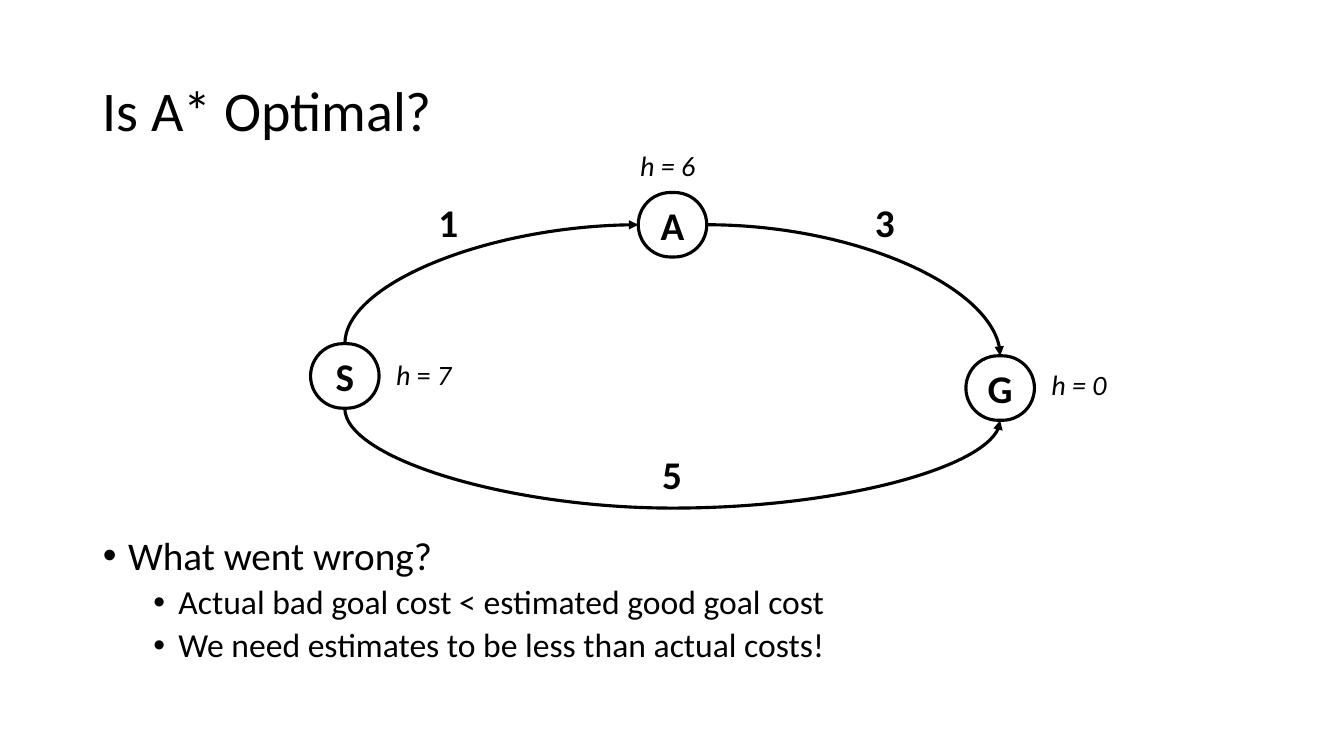
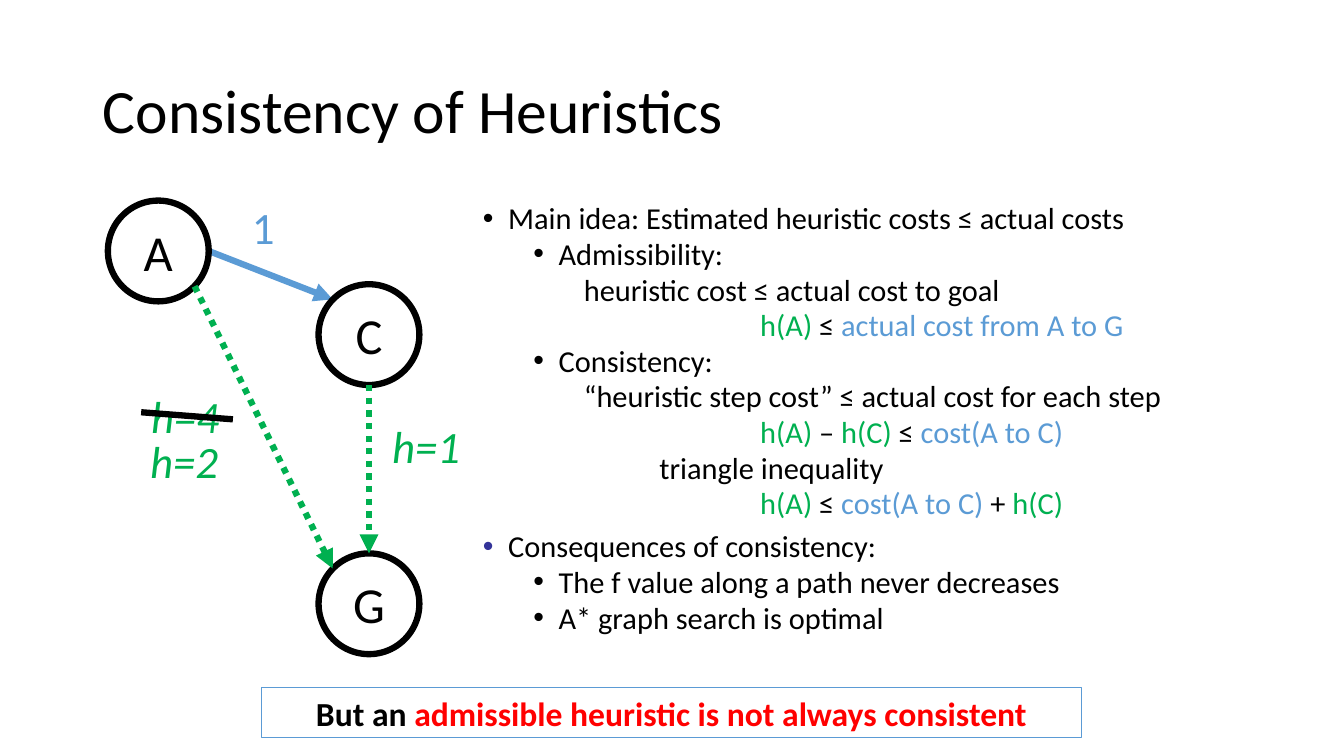
from dataclasses import dataclass
from typing import Any

from lxml import etree
from pptx import Presentation
from pptx import util as u
from pptx.dml.color import RGBColor
from pptx.enum import dml, shapes, text
from pptx.oxml import ns

# Shared look: 100 px to the inch
EMU_PER_PX = 9144
PAGE_WIDTH, PAGE_HEIGHT = 1333, 750
FONT = "Calibri"
BLACK, WHITE, GREEN, BLUE = "000000", "FFFFFF", "00B050", "5B9BD5"
RED, NAVY = "FF0000", "333399"
TITLE_BOX = (92, 40, 1150, 145)
LEFT, CENTER = text.PP_ALIGN.LEFT, text.PP_ALIGN.CENTER
TOP, MIDDLE = text.MSO_ANCHOR.TOP, text.MSO_ANCHOR.MIDDLE


@dataclass(frozen=True)
class Span:
    text: str
    color: str = BLACK
    italic: bool = False


@dataclass(frozen=True)
class Line:
    spans: tuple[Span, ...]
    level: int = 0
    margin: int = 25
    bullet: str | None = BLACK


@dataclass(frozen=True)
class Node:
    name: str
    x: int
    y: int


@dataclass(frozen=True)
class Label:
    content: str | tuple[Span, ...]
    box: tuple[int, int, int, int]
    size: int
    bold: bool = False
    italic: bool = False
    color: str = BLACK
    align: Any = LEFT
    wrap: bool = True


@dataclass(frozen=True)
class Link:
    start: tuple[int, int]
    end: tuple[int, int]
    color: str
    dotted: bool = False
    arrow: bool = True


@dataclass(frozen=True)
class Curve:
    """Connection sites: 0 top, 1 left, 2 bottom, 3 right."""
    start: str
    start_site: int
    end: str
    end_site: int
    preset: str
    rotation: int = 0
    flips: tuple[str, ...] = ()
    bend: int | None = None


def px(length: float) -> u.Emu:
    return u.Emu(round(length * EMU_PER_PX))


def rgb(value: str) -> RGBColor:
    return RGBColor.from_string(value)


def add_tag(parent: Any, tag: str, **attributes: str) -> Any:
    return etree.SubElement(parent, ns.qn(tag), attributes)


# Text
def write(para: Any, content: str | tuple[Span, ...], *, size: float, color: str = BLACK,
          bold: bool = False, italic: bool = False, align: Any = LEFT) -> None:
    para.alignment = align
    spans = (Span(content, color, italic),) if isinstance(content, str) else content
    for part in spans:
        span = para.add_run()
        span.text = part.text
        font = span.font
        font.name, font.size = FONT, u.Pt(size)
        font.bold, font.italic = bold, part.italic
        font.color.rgb = rgb(part.color)


def set_frame(shape: Any, *, anchor: Any, wrap: bool = True) -> Any:
    frame = shape.text_frame
    frame.auto_size = text.MSO_AUTO_SIZE.NONE
    frame.word_wrap, frame.vertical_anchor = wrap, anchor
    return frame


def place(shape: Any, box: tuple[int, int, int, int]) -> None:
    shape.left, shape.top, shape.width, shape.height = map(px, box)


def add_title(page: Any, title: str, size: int) -> None:
    shape = page.shapes.title
    place(shape, TITLE_BOX)
    para = set_frame(shape, anchor=MIDDLE).paragraphs[0]
    para.line_spacing = 0.9
    write(para, title, size=size)


def add_list(page: Any, box: tuple[int, int, int, int], lines: list[Line], *,
             sizes: tuple[float, float], spacing: float, gaps: tuple[float, float]) -> None:
    shape = page.placeholders[1]
    place(shape, box)
    frame = set_frame(shape, anchor=TOP)
    for index, line in enumerate(lines):
        para = frame.add_paragraph() if index else frame.paragraphs[0]
        para.level, para.line_spacing = line.level, spacing
        para.space_before = u.Pt(gaps[line.level])
        write(para, line.spans, size=sizes[line.level])
        props = para._p.get_or_add_pPr()
        props.set("marL", str(px(line.margin)))
        props.set("indent", str(px(-25 if line.bullet else 0)))
        if line.bullet:
            add_tag(add_tag(props, "a:buClr"), "a:srgbClr", val=line.bullet)
            add_tag(props, "a:buFont", typeface="Arial")
            add_tag(props, "a:buChar", char="•")
        else:
            add_tag(props, "a:buNone")


def add_label(page: Any, label: Label) -> None:
    shape = page.shapes.add_textbox(*map(px, label.box))
    frame = set_frame(shape, anchor=TOP, wrap=label.wrap)
    write(frame.paragraphs[0], label.content, size=label.size, color=label.color,
          bold=label.bold, italic=label.italic, align=label.align)


# Shapes and lines
def add_box(page: Any, kind: Any, box: tuple[int, int, int, int],
            content: str | tuple[Span, ...], *, size: int, line_color: str = BLACK,
            line_width: float, fill: str | None = None, bold: bool = False,
            wrap: bool = True) -> Any:
    shape = page.shapes.add_shape(kind, *map(px, box))
    shape.shadow.inherit = False
    if fill:
        shape.fill.solid()
        shape.fill.fore_color.rgb = rgb(fill)
    else:
        shape.fill.background()
    shape.line.color.rgb = rgb(line_color)
    shape.line.width = u.Pt(line_width)
    frame = set_frame(shape, anchor=MIDDLE, wrap=wrap)
    write(frame.paragraphs[0], content, size=size, bold=bold, align=CENTER)
    return shape


def style_line(connector: Any, *, color: str, width: float, dotted: bool = False,
               arrow: bool = True) -> None:
    line = connector.line
    line.color.rgb, line.width = rgb(color), u.Pt(width)
    if dotted:
        line.dash_style = dml.MSO_LINE.ROUND_DOT
    properties = connector._element.spPr
    if arrow:
        add_tag(properties.find(ns.qn("a:ln")), "a:tailEnd", type="triangle")
    add_tag(properties, "a:effectLst")


def add_link(page: Any, link: Link) -> None:
    connector = page.shapes.add_connector(
        shapes.MSO_CONNECTOR.STRAIGHT, *map(px, link.start + link.end))
    style_line(connector, color=link.color, width=4.5, dotted=link.dotted, arrow=link.arrow)


def add_curve(page: Any, curve: Curve, nodes: dict[str, Any]) -> None:
    connector = page.shapes.add_connector(shapes.MSO_CONNECTOR.CURVE, 0, 0, 0, 0)
    connector.begin_connect(nodes[curve.start], curve.start_site)
    connector.end_connect(nodes[curve.end], curve.end_site)
    left, top, width, height = (connector.left, connector.top,
                                connector.width, connector.height)
    properties = connector._element.spPr
    frame = properties.find(ns.qn("a:xfrm"))
    for flip in ("flipH", "flipV"):
        frame.attrib.pop(flip, None)
        if flip in curve.flips:
            frame.set(flip, "1")
    if curve.rotation:  # a quarter turn swaps the sides about the same centre
        connector.left = u.Emu(left + (width - height) // 2)
        connector.top = u.Emu(top + (height - width) // 2)
        connector.width, connector.height = height, width
        frame.set("rot", str(curve.rotation * 60000))
    geometry = properties.find(ns.qn("a:prstGeom"))
    geometry.set("prst", curve.preset)
    if curve.bend:
        add_tag(geometry.find(ns.qn("a:avLst")), "a:gd", name="adj1", fmla=f"val {curve.bend}")
    style_line(connector, color=BLACK, width=2.25)


def plain(content: str, level: int = 0, margin: int = 25, bullet: str | None = BLACK) -> Line:
    return Line((Span(content),), level, margin, bullet)


def sub(content: str) -> Line:
    return plain(content, 1, 75)


def formula(*spans: Span) -> Line:
    return Line(spans, 1, 275, None)


# Slide 1
def build_optimality(page: Any) -> None:
    add_title(page, "Is A* Optimal?", 40)
    add_list(page, (92, 527, 1150, 159), [
        plain("What went wrong?"),
        sub("Actual bad goal cost < estimated good goal cost"),
        sub("We need estimates to be less than actual costs!"),
    ], sizes=(28, 24), spacing=0.9, gaps=(10, 5))

    nodes = {}
    for node in (Node("A", 633, 191), Node("G", 958, 353), Node("S", 308, 341)):
        shape = add_box(page, shapes.MSO_SHAPE.ROUNDED_RECTANGLE, (node.x, node.y, 68, 64),
                        node.name, size=28, line_width=2.25, bold=True, wrap=False)
        shape.adjustments[0] = 0.5
        nodes[node.name] = shape

    start_estimate = (Span("h", italic=True), Span(" = "), Span("7", italic=True))
    for label in (
        Label("1", (425, 192, 50, 57), 28, bold=True),
        Label("3", (858, 192, 50, 57), 28, bold=True),
        Label("5", (0, 442, PAGE_WIDTH, 57), 28, bold=True, align=CENTER),
        Label("h = 6", (625, 142, 100, 44), 20, italic=True),
        Label("h = 0", (1033, 360, 100, 44), 20, italic=True),
        Label(start_estimate, (383, 350, 83, 44), 20),
    ):
        add_label(page, label)

    for curve in (
        Curve("S", 2, "G", 2, "curvedConnector3", 270, ("flipH",), 825000),
        Curve("S", 0, "A", 1, "curvedConnector2", 90, ("flipH", "flipV")),
        Curve("A", 3, "G", 0, "curvedConnector2"),
    ):
        add_curve(page, curve, nodes)


# Slide 2
def build_consistency(page: Any) -> None:
    add_title(page, "Consistency of Heuristics", 44)
    at_most = Span("≤ ")
    add_list(page, (469, 200, 773, 476), [
        plain("Main idea: Estimated heuristic costs ≤ actual costs"),
        sub("Admissibility:"),
        plain("heuristic cost ≤ actual cost to goal", 1, 100, None),
        formula(Span("h(A) ", GREEN), at_most, Span("actual cost from A to G", BLUE)),
        sub("Consistency:"),
        plain("“heuristic step cost” ≤ actual cost for each step", 1, 100, None),
        formula(Span("h(A) ", GREEN), Span("–"), Span(" h(C) ", GREEN), at_most,
                Span("cost(A to C)", BLUE)),
        plain("triangle inequality", 1, 175, None),
        formula(Span("h(A) ", GREEN), at_most, Span("cost(A to C) ", BLUE),
                Span("+ "), Span("h(C)", GREEN)),
        plain("Consequences of consistency:", bullet=NAVY),
        sub("The f value along a path never decreases"),
        sub("A* graph search is optimal"),
    ], sizes=(21.7, 21.7), spacing=0.8, gaps=(10, 4.6))

    add_link(page, Link((207, 249), (330, 297), BLUE))
    for node in (Node("A", 107, 199), Node("C", 316, 282), Node("G", 316, 549)):
        add_box(page, shapes.MSO_SHAPE.OVAL, (node.x, node.y, 100, 100), node.name,
                size=36, line_width=4.5, fill=WHITE)
    for label in (
        Label("h=4", (140, 381, 89, 64), 32, italic=True, color=GREEN, wrap=False),
        Label("h=1", (379, 411, 89, 64), 32, italic=True, color=GREEN, wrap=False),
        Label("1", (240, 193, 43, 64), 32, color=BLUE, wrap=False),
        Label("h=2", (139, 425, 89, 64), 32, italic=True, color=GREEN, wrap=False),
    ):
        add_label(page, label)
    for link in (
        Link((193, 284), (330, 564), GREEN, dotted=True),
        Link((140, 409), (231, 416), BLACK, arrow=False),
        Link((366, 382), (366, 549), GREEN, dotted=True),
    ):
        add_link(page, link)
    add_box(page, shapes.MSO_SHAPE.RECTANGLE, (259, 682, 814, 50),
            (Span("But an "), Span("admissible heuristic is not always consistent", RED)),
            size=24, line_color=BLUE, line_width=0.75, bold=True)


def main() -> None:
    deck = Presentation()
    deck.slide_width, deck.slide_height = px(PAGE_WIDTH), px(PAGE_HEIGHT)
    for build in (build_optimality, build_consistency):
        build(deck.slides.add_slide(deck.slide_layouts[1]))
    deck.save("out.pptx")


if __name__ == "__main__":
    main()
